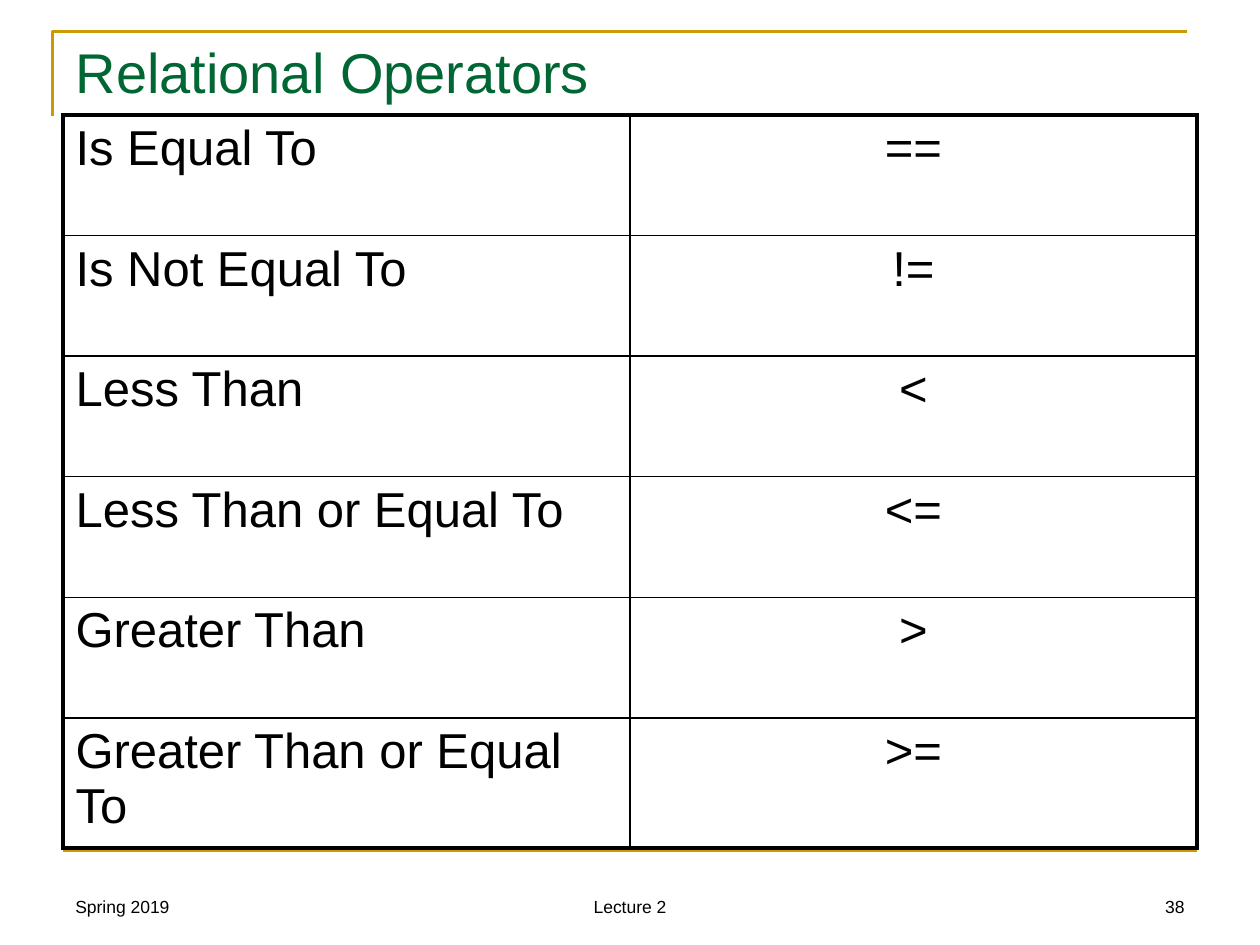
from lxml.etree import SubElement
from pptx import Presentation
from pptx.dml.color import RGBColor
from pptx.enum.shapes import MSO_CONNECTOR
from pptx.enum.text import MSO_ANCHOR, PP_ALIGN
from pptx.oxml.ns import qn
from pptx.util import Cm, Pt

COLORS = {"text": "000000", "title": "006633", "rule": "CC9900"}
LEFT, WIDTH = 1.27, 22.86
THIN, THICK = 1, 2.25
OPERATORS = [
    ("Is Equal To", "=="),
    ("Is Not Equal To", "!="),
    ("Less Than", "<"),
    ("Less Than or Equal To", "<="),
    ("Greater Than", ">"),
    ("Greater Than or Equal To", ">="),
]


class SlideBuilder:
    font_name = "Arial"

    def __init__(self, page):
        self.page = page

    def set_text(self, frame, text, size, color="text", align=PP_ALIGN.LEFT):
        frame.word_wrap = True
        para = frame.paragraphs[0]
        para.alignment = align
        span = para.add_run()
        span.text = text
        values = {"name": self.font_name, "size": Pt(size), "bold": False}
        for name, value in values.items():
            setattr(span.font, name, value)
        span.font.color.rgb = RGBColor.from_string(COLORS[color])

    def style_line(self, line):
        line.color.rgb = RGBColor.from_string(COLORS["rule"])
        line.width = Pt(1.5)

    def corner(self, points):
        points = [(Cm(x), Cm(y)) for x, y in points]
        builder = self.page.shapes.build_freeform(*points[0])
        builder.add_line_segments(points[1:], close=False)
        shape = builder.convert_to_shape()
        shape.shadow.inherit = False
        shape.fill.background()
        self.style_line(shape.line)

    def rule(self, left, top, width):
        line = self.page.shapes.add_connector(
            MSO_CONNECTOR.STRAIGHT, Cm(left), Cm(top), Cm(left + width), Cm(top))
        self.style_line(line.line)
        SubElement(line._element.spPr, qn("a:effectLst"))

    def title(self, text, left, top, width, height):
        title = self.page.shapes.title
        place = {"left": left, "top": top, "width": width, "height": height}
        for name, value in place.items():
            setattr(title, name, Cm(value))
        title.text_frame.vertical_anchor = MSO_ANCHOR.MIDDLE
        self.set_text(title.text_frame, text, 32, "title")

    def footer(self, text, left, width, align):
        box = self.page.shapes.add_textbox(Cm(left), Cm(17.35), Cm(width), Cm(1.27))
        box.text_frame.vertical_anchor = MSO_ANCHOR.BOTTOM
        self.set_text(box.text_frame, text, 10, align=align)

    def border(self, cell, widths):
        for side in "LRTB":
            line = SubElement(cell._tc.get_or_add_tcPr(), qn(f"a:ln{side}"),
                              w=str(Pt(widths[side])))
            fill = SubElement(line, qn("a:solidFill"))
            SubElement(fill, qn("a:srgbClr"), val=COLORS["text"])

    def table(self, rows, left, top, width, heights):
        columns = len(rows[0])
        table = self.page.shapes.add_table(
            len(rows), columns, Cm(left), Cm(top), Cm(width), Cm(sum(heights))).table
        table.first_row = table.horz_banding = False
        for column in table.columns:
            column.width = Cm(width / columns)
        for i, (texts, height) in enumerate(zip(rows, heights)):
            table.rows[i].height = Cm(height)
            for j, text in enumerate(texts):
                cell = table.cell(i, j)
                outer = {"L": j == 0, "R": j == columns - 1,
                         "T": i == 0, "B": i == len(rows) - 1}
                self.border(cell, {side: THICK if edge else THIN
                                   for side, edge in outer.items()})
                cell.fill.background()
                align = PP_ALIGN.CENTER if j else PP_ALIGN.LEFT
                self.set_text(cell.text_frame, text, 28, align=align)


def main():
    deck = Presentation()
    deck.slide_width, deck.slide_height = Cm(25.4), Cm(19.05)
    slide = SlideBuilder(deck.slides.add_slide(deck.slide_layouts[5]))

    # Frame lines
    slide.corner([(1.06, 2.33), (1.06, 0.64), (1.06 + WIDTH, 0.64)])
    slide.rule(LEFT, 17.15, WIDTH)

    # Footer
    slide.footer("Spring 2019", LEFT, 5.93, PP_ALIGN.LEFT)
    slide.footer("Lecture 2", 8.68, 8.04, PP_ALIGN.CENTER)
    slide.footer("38", LEFT + WIDTH - 5.93, 5.93, PP_ALIGN.RIGHT)

    # Title and table of operators
    slide.title("Relational Operators", LEFT, 0.53, WIDTH, 1.8)
    slide.table(OPERATORS, LEFT, 2.32, WIDTH, [2.43] * 5 + [2.62])

    deck.save("out.pptx")


if __name__ == "__main__":
    main()
